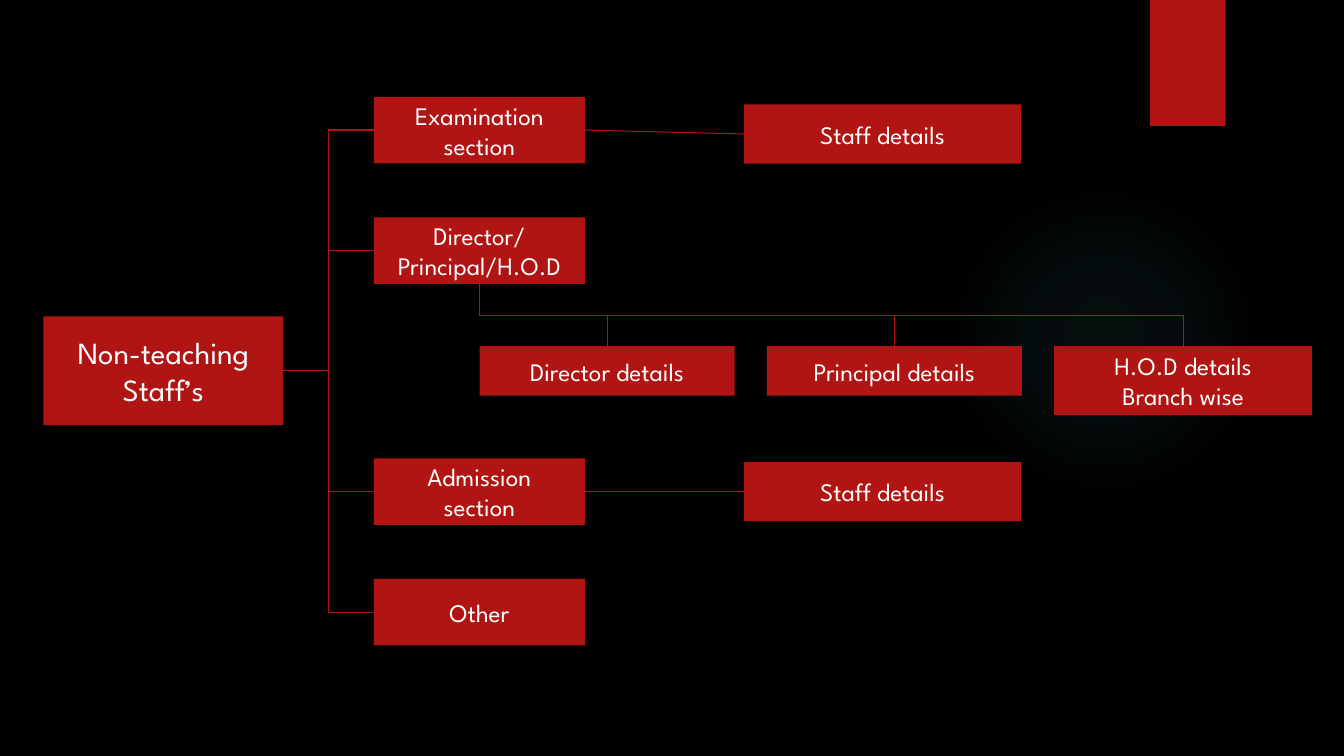
from dataclasses import dataclass

from lxml.etree import SubElement
from pptx import Presentation
from pptx.dml.color import RGBColor
from pptx.enum.shapes import MSO_CONNECTOR as Link, MSO_SHAPE as Preset
from pptx.enum.text import MSO_ANCHOR as Anchor, PP_ALIGN as Align
from pptx.oxml.ns import qn
from pptx.util import Pt


@dataclass(frozen=True)
class Theme:
    background: str = "000000"
    accent: str = "B01513"
    text: str = "FFFFFF"
    glow: str = "50B9C1"
    font: str = "League Spartan"
    root_size: float = 22
    box_size: float = 18
    line_width: float = 0.75


@dataclass(frozen=True)
class Box:
    left: float
    top: float
    width: float
    height: float

    def inner(self, left, top, width, height):
        return Box(self.left + left, self.top + top, width, height)

    def points(self):
        return [Pt(value) for value in (self.left, self.top, self.width, self.height)]


THEME = Theme()
TOP, LEFT, BOTTOM, RIGHT = range(4)


def color(name):
    return RGBColor.from_string(name)


def add_block(page, box, preset=Preset.RECTANGLE):
    block = page.shapes.add_shape(preset, *box.points())
    block.shadow.inherit = False
    block.fill.solid()
    block.fill.fore_color.rgb = color(THEME.accent)
    block.line.fill.background()
    return block


def add_label(page, box, lines, size=THEME.box_size):
    block = add_block(page, box)
    frame = block.text_frame
    frame.word_wrap = True
    frame.vertical_anchor = Anchor.MIDDLE
    frame.text = "\n".join(lines)
    for para in frame.paragraphs:
        para.alignment = Align.CENTER
        para.font.name = THEME.font
        para.font.size = Pt(size)
        para.font.color.rgb = color(THEME.text)
    return block


def join(page, start, end, kind=Link.ELBOW, sites=(RIGHT, LEFT)):
    connector = page.shapes.add_connector(kind, 0, 0, 0, 0)
    connector.begin_connect(start, sites[0])
    connector.end_connect(end, sites[1])
    connector.line.color.rgb = color(THEME.accent)
    connector.line.width = Pt(THEME.line_width)
    SubElement(connector._element.spPr, qn("a:effectLst"))
    return connector


def join_down(page, start, end):
    connector = join(page, start, end, sites=(BOTTOM, TOP))
    across, down = connector.width, connector.height
    connector.left += (across - down) // 2
    connector.top += (down - across) // 2
    connector.width, connector.height = down, across
    transform = connector._element.spPr.find(qn("a:xfrm"))
    transform.set("rot", "16200000")
    transform.set("flipH", "1")


def add_glow(page, box):
    glow = add_block(page, box, Preset.OVAL)
    glow.fill.gradient()
    gradient = glow._element.spPr.find(qn("a:gradFill"))
    for child in list(gradient):
        gradient.remove(child)
    stops = SubElement(gradient, qn("a:gsLst"))
    for position, alpha in ((0, 7), (36, 6), (69, 0)):
        stop = SubElement(stops, qn("a:gs"), pos=str(position * 1000))
        tint = SubElement(stop, qn("a:srgbClr"), val=THEME.glow)
        SubElement(tint, qn("a:alpha"), val=str(alpha * 1000))
    shade = SubElement(gradient, qn("a:path"), path="circle")
    SubElement(shade, qn("a:fillToRect"), l="50000", t="50000", r="50000", b="50000")


def add_backdrop(page, box):
    page.background.fill.solid()
    page.background.fill.fore_color.rgb = color(THEME.background)
    add_glow(page, box.inner(677.5, 131.8, 221.8, 221.8))
    add_block(page, box.inner(821.5, 0, 54, 90))


def add_sections(page, box):
    root = add_label(page, box.inner(0, 157, 171.2, 77.6),
                     ["Non-teaching", "Staff’s"], THEME.root_size)
    rows = {
        0: ["Examination", "section"],
        1: ["Director/", "Principal/H.O.D"],
        3: ["Admission", "section"],
        4: ["Other"],
    }
    pitch = 86.1
    sections = {
        row: add_label(page, box.inner(236, row * pitch, 150.6, 47.6), lines)
        for row, lines in rows.items()
    }
    for section in sections.values():
        join(page, root, section)
    return sections


def add_staff(page, box, section):
    staff = add_label(page, box, ["Staff details"])
    join(page, section, staff, Link.STRAIGHT)


def add_leaders(page, box, section):
    leaders = (
        (["Director details"], 182.2, 35.4),
        (["Principal details"], 182.2, 35.4),
        (["H.O.D details", "Branch wise"], 184.2, 49),
    )
    pitch = 205.2
    for column, (lines, width, height) in enumerate(leaders):
        leader = add_label(page, box.inner(column * pitch, 0, width, height), lines)
        join_down(page, section, leader)


def add_staff_chart(page, box):
    sections = add_sections(page, box)
    for row, top in ((0, 5.5), (3, 261)):
        add_staff(page, box.inner(500.3, top, 198, 42.2), sections[row])
    add_leaders(page, box.inner(311.5, 178.2, 594.6, 49), sections[1])


deck = Presentation()
deck.slide_width, deck.slide_height = Pt(960), Pt(540)
page = deck.slides.add_slide(deck.slide_layouts[6])
add_backdrop(page, Box(0, 0, 960, 540))
add_staff_chart(page, Box(31.1, 69.1, 906.1, 392))
deck.save("out.pptx")
